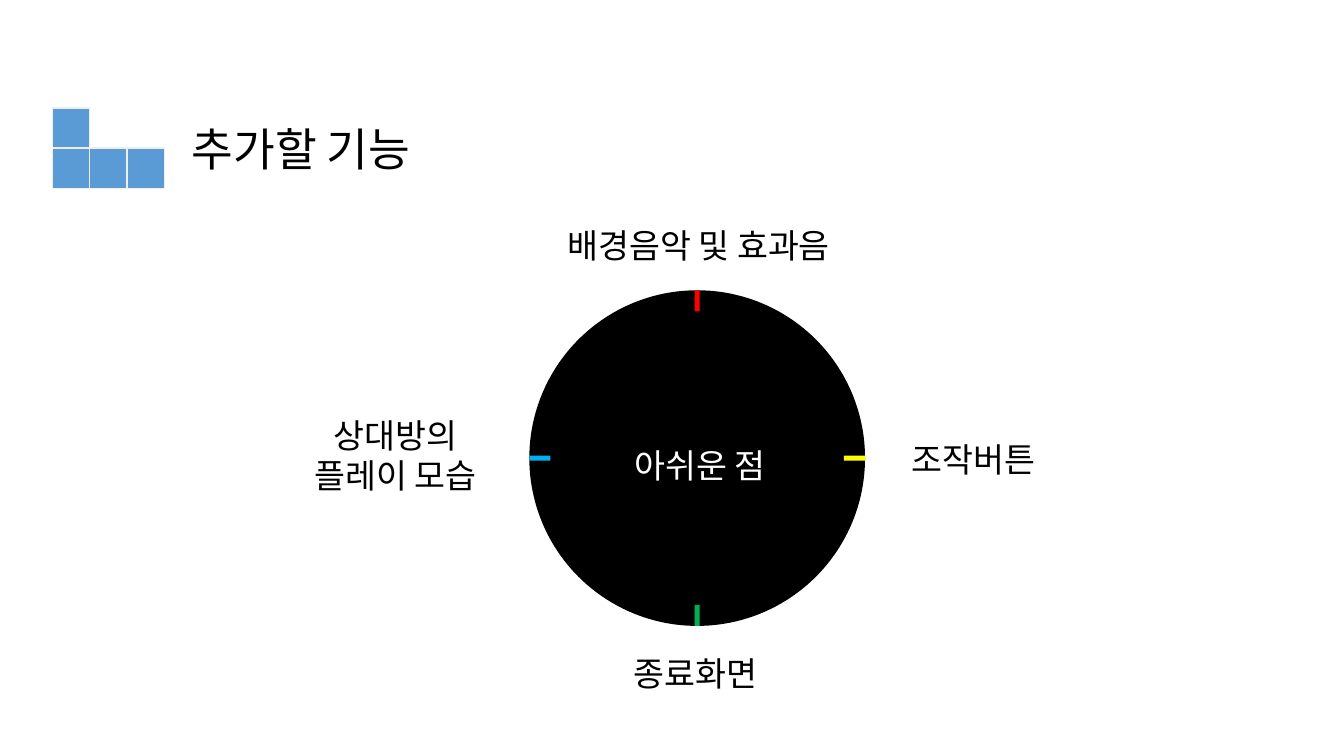
from dataclasses import dataclass

from lxml.etree import SubElement
from pptx import Presentation
from pptx.dml.color import RGBColor
from pptx.enum.shapes import MSO_SHAPE
from pptx.enum.text import MSO_ANCHOR, MSO_AUTO_SIZE, PP_ALIGN
from pptx.oxml.ns import qn
from pptx.util import Inches, Pt


@dataclass(frozen=True)
class Theme:
    font: str = "Noto Sans CJK KR"
    title_size: float = 32.4
    label_size: float = 24
    ink: str = "000000"
    paper: str = "FFFFFF"
    block: str = "5B9BD5"
    block_edge: str = "EEEEEE"
    top: str = "FF0000"
    bottom: str = "00B050"
    left: str = "00B0F0"
    right: str = "FFFF00"


THEME = Theme()


def format_text(frame, size, color, align, spacing=1.0):
    for paragraph in frame.paragraphs:
        paragraph.alignment = align
        paragraph.line_spacing = spacing
        for run in paragraph.runs:
            run.font.name = THEME.font
            run.font.size = Pt(size)
            run.font.color.rgb = RGBColor.from_string(color)
            east_asian = SubElement(run.font._element, qn("a:ea"))
            east_asian.set("typeface", THEME.font)


def add_filled(shapes, kind, box, fill, edge=None):
    shape = shapes.add_shape(kind, *map(Inches, box))
    shape.shadow.inherit = False
    shape.fill.solid()
    shape.fill.fore_color.rgb = RGBColor.from_string(fill)
    if edge:
        shape.line.color.rgb = RGBColor.from_string(edge)
        shape.line.width = Pt(1)
    else:
        shape.line.fill.background()


def add_label(slide, text, box, color=THEME.ink, spacing=1.0, inset=True):
    frame = slide.shapes.add_textbox(*map(Inches, box)).text_frame
    frame.word_wrap = True
    if not inset:
        frame.margin_left = frame.margin_right = 0
        frame.margin_top = frame.margin_bottom = 0
    frame.text = text
    format_text(frame, THEME.label_size, color, PP_ALIGN.CENTER, spacing)


def add_heading(slide, text, left, top):
    """Place the L-shaped block emblem with the title to its right."""
    cell_width, cell_height = 0.37, 0.4
    emblem = slide.shapes.add_group_shape()
    for column, row in ((2, 1), (1, 1), (0, 1), (0, 0)):
        cell = (left + column * cell_width, top + row * cell_height,
                cell_width, cell_height)
        add_filled(emblem.shapes, MSO_SHAPE.RECTANGLE, cell,
                   THEME.block, THEME.block_edge)

    title = slide.shapes.title
    title.left, title.top = Inches(left + 1.28), Inches(top + 0.11)
    title.width, title.height = Inches(4.95), Inches(0.62)
    frame = title.text_frame
    frame.text = text
    frame.auto_size = MSO_AUTO_SIZE.NONE
    frame.vertical_anchor = MSO_ANCHOR.BOTTOM
    format_text(frame, THEME.title_size, THEME.ink, PP_ALIGN.LEFT, 0.9)


def add_dial(slide, left, top, diameter):
    """Draw the disc, its four edge ticks and the label beside each tick."""
    right, bottom = left + diameter, top + diameter
    center_x, center_y = left + diameter / 2, top + diameter / 2
    add_filled(slide.shapes, MSO_SHAPE.OVAL,
               (left, top, diameter, diameter), THEME.ink)
    add_label(slide, "아쉬운 점", (center_x - 0.86, center_y - 0.33, 1.78, 0.68),
              THEME.paper, spacing=1.5, inset=False)

    length, thickness = 0.21, 0.05
    tick_x, tick_y = center_x - thickness / 2, center_y - thickness / 2
    upright, flat = (thickness, length), (length, thickness)
    sides = (
        ("배경음악 및 효과음", (center_x - 1.6, top - 0.7, 3.23, 0.5),
         (tick_x, top, *upright), THEME.top),
        ("종료화면", (center_x - 0.84, bottom + 0.22, 1.65, 0.5),
         (tick_x, bottom - length, *upright), THEME.bottom),
        ("상대방의\n플레이 모습", (left - 2.39, center_y - 0.48, 2.13, 0.91),
         (left, tick_y, *flat), THEME.left),
        ("조작버튼", (right + 0.25, center_y - 0.24, 1.65, 0.5),
         (right - length, tick_y, *flat), THEME.right),
    )
    for text, label_box, tick_box, color in sides:
        add_label(slide, text, label_box)
        add_filled(slide.shapes, MSO_SHAPE.RECTANGLE, tick_box, color)


def main():
    presentation = Presentation()
    presentation.slide_width = Inches(13.33)
    presentation.slide_height = Inches(7.5)
    slide = presentation.slides.add_slide(presentation.slide_layouts[5])
    add_heading(slide, "추가할 기능", 0.52, 1.07)
    add_dial(slide, 5.25, 2.88, 3.33)
    presentation.save("out.pptx")


if __name__ == "__main__":
    main()
